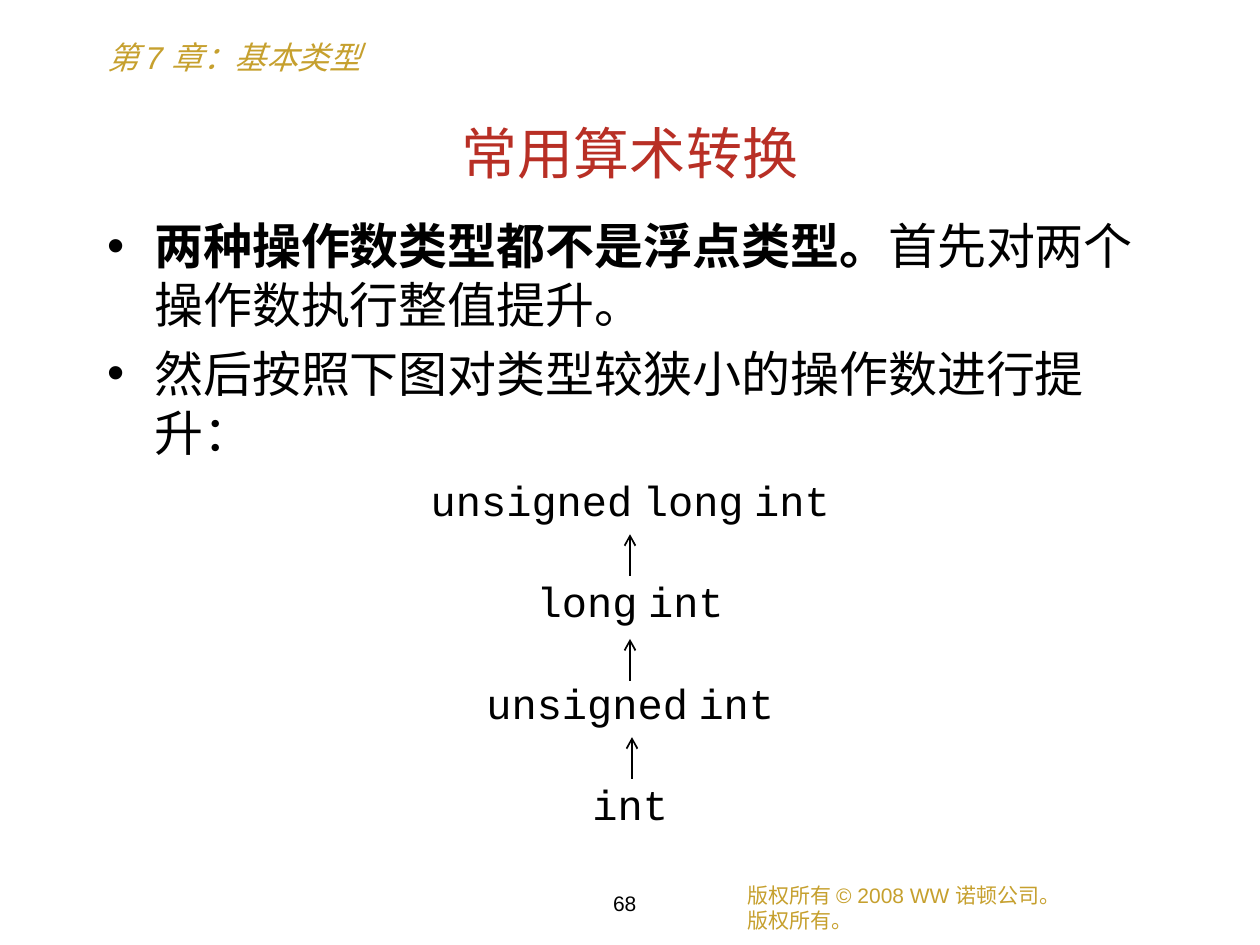
import pptx
import pptx.dml.color
import pptx.enum.shapes
import pptx.enum.text
import pptx.oxml
import pptx.oxml.ns
import pptx.util

Cm, Pt = pptx.util.Cm, pptx.util.Pt
Align = pptx.enum.text.PP_ALIGN
Anchor = pptx.enum.text.MSO_ANCHOR
GOLD, RED, BLACK = "C6A02E", "B82F25", "000000"


def colour(value):
    """Turn a hex string into a colour."""
    return pptx.dml.color.RGBColor.from_string(value)


def add_xml(parent, tag, **attributes):
    """Append a drawing element with its attributes."""
    element = pptx.oxml.parse_xml(f"<{tag} {pptx.oxml.ns.nsdecls('a')}/>")
    for name, value in attributes.items():
        element.set(name, value)
    parent.append(element)


class SlideWriter:
    """Hold the style and the current slide."""

    sans, serif, mono = "Arial", "Times New Roman", "Courier New"

    def __init__(self, page):
        """Keep the slide to draw on."""
        self.page = page

    def frame(self, left, top, width, height, anchor=Anchor.TOP):
        """Add a wrapping text box and return its text frame."""
        box = self.page.shapes.add_textbox(Cm(left), Cm(top), Cm(width), Cm(height))
        box.text_frame.word_wrap = True
        box.text_frame.vertical_anchor = anchor
        return box.text_frame

    def style(self, para, font, size, shade, align=Align.LEFT):
        """Set the font and alignment of a paragraph."""
        para.alignment = align
        para.font.name = font
        para.font.size = Pt(size)
        para.font.color.rgb = colour(shade)

    def label(self, place, lines, size, shade, align=Align.LEFT, italic=False, anchor=Anchor.MIDDLE):
        """Add a text box with one paragraph for each line."""
        frame = self.frame(*place, anchor)
        frame.text = "\n".join(lines)
        for para in frame.paragraphs:
            self.style(para, self.sans, size, shade, align)
            para.font.italic = italic

    def bullet(self, para, lead, rest, space):
        """Fill a bulleted paragraph, punctuation kept inside the margin, with a bold lead."""
        properties = para._p.get_or_add_pPr()
        properties.set("marL", str(Cm(0.95)))
        properties.set("indent", str(-Cm(0.95)))
        properties.set("hangingPunct", "0")
        add_xml(properties, "a:buFont", typeface=self.sans)
        add_xml(properties, "a:buChar", char="•")
        self.style(para, self.serif, 28, BLACK)
        para.space_before = Pt(space)
        if lead:
            span = para.add_run()
            span.text = lead
            span.font.bold = True
        para.add_run().text = rest

    def type_name(self, para, name, space):
        """Fill a centred code paragraph whose word gaps are narrow."""
        self.style(para, self.mono, 24, BLACK, Align.CENTER)
        para.line_spacing = 0.8
        para.space_before = Pt(space)
        for index, word in enumerate(name.split()):
            if index:
                gap = para.add_run()
                gap.text = " "
                gap.font.name = self.serif
            para.add_run().text = word

    def arrow_up(self, x, bottom, length=0.84):
        """Draw an upward arrow."""
        arrow = self.page.shapes.add_connector(
            pptx.enum.shapes.MSO_CONNECTOR.STRAIGHT,
            Cm(x), Cm(bottom), Cm(x), Cm(bottom - length))
        arrow.line.color.rgb = colour(BLACK)
        arrow.line.width = Pt(1)
        add_xml(arrow.line._get_or_add_ln(), "a:tailEnd", type="arrow")
        add_xml(arrow._element.spPr, "a:effectLst")


def main():
    """Build the slide and save it."""
    deck = pptx.Presentation()
    deck.slide_width, deck.slide_height = Cm(25.4), Cm(19.05)
    writer = SlideWriter(deck.slides.add_slide(deck.slide_layouts[6]))

    writer.label((1.91, 0.64, 9.1, 1.02), ["第 7 章：基本类型"], 18, GOLD,
                 italic=True, anchor=Anchor.TOP)
    writer.label((1.91, 2.12, 21.59, 1.91), ["常用算术转换"], 32, RED, Align.CENTER)

    body = writer.frame(1.91, 4.23, 21.59, 13.34)
    writer.bullet(body.paragraphs[0], "两种操作数类型都不是浮点类型。", "首先对两个操作数执行整值提升。", 0)
    writer.bullet(body.add_paragraph(), "", "然后按照下图对类型较狭小的操作数进行提升：", 5.6)
    for index, name in enumerate(["unsigned long int", "long int", "unsigned int", "int"]):
        writer.type_name(body.add_paragraph(), name, 35 if index else 13)

    writer.label((14.82, 17.67, 8.68, 1.27), ["版权所有 © 2008 WW 诺顿公司。", "版权所有。"], 12, GOLD)
    writer.label((11.64, 17.78, 1.91, 0.85), ["68"], 12, BLACK, Align.CENTER)
    for x, bottom in [(12.7, 11.61), (12.7, 13.72), (12.74, 15.7)]:
        writer.arrow_up(x, bottom)

    deck.save("out.pptx")


if __name__ == "__main__":
    main()
